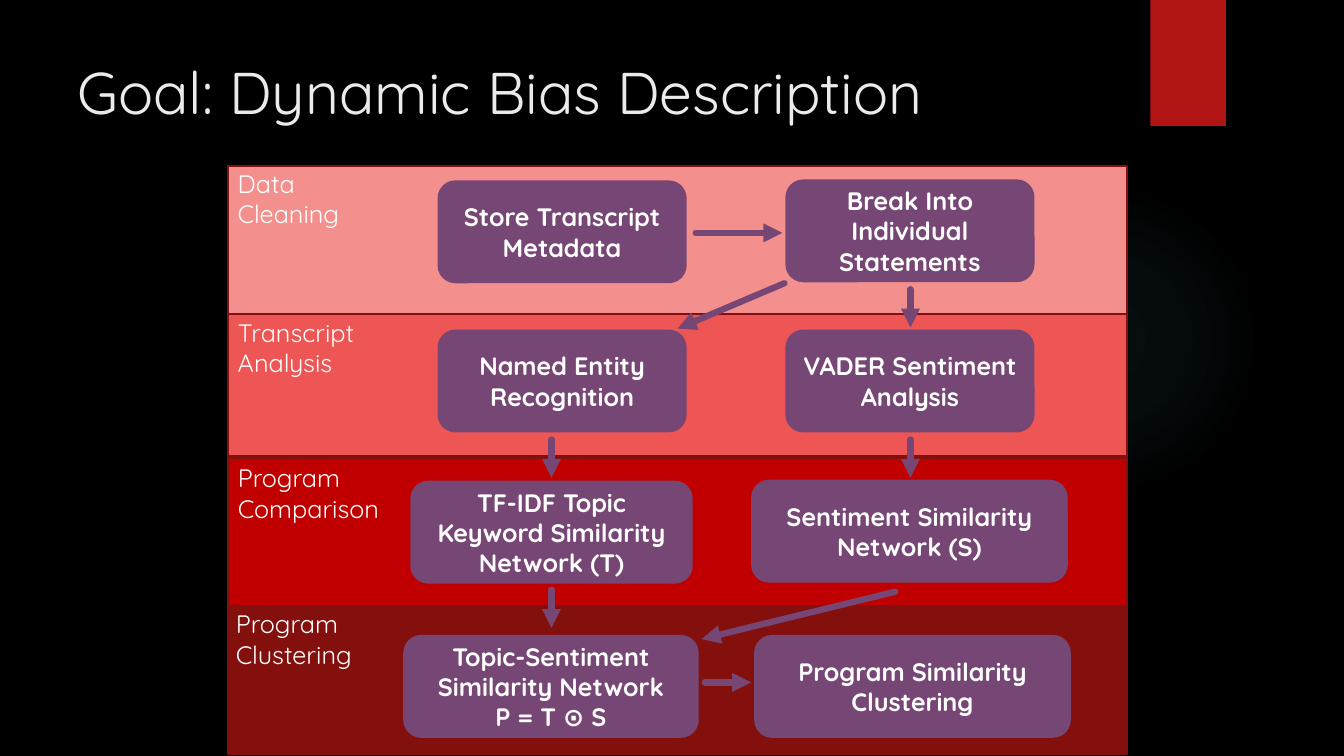
from lxml.etree import SubElement
from pptx import Presentation
from pptx.dml.color import RGBColor
from pptx.enum.shapes import MSO_CONNECTOR, MSO_SHAPE
from pptx.enum.text import MSO_ANCHOR, MSO_AUTO_SIZE, PP_ALIGN
from pptx.oxml import parse_xml
from pptx.oxml.ns import nsdecls, qn
from pptx.util import Inches, Pt

# Content
TITLE = "Goal: Dynamic Bias Description"
FONT = "Quicksand"
WHITE, PURPLE, BAND_EDGE = "FFFFFF", "764674", "82100E"
BAND_LEFT, BAND_WIDTH, BAND_HEIGHT = 2.26, 8.92, 1.47
BOX_HEIGHT = 1

# Stages from back to front: label, colour, band top, label left, top, width
STAGES = [
    ("Transcript Analysis", "ED5654", 3.06, 2.26, 3.1, 1.5),
    ("Program Comparison", "C00000", 4.54, 2.26, 4.54, 1.75),
    ("Program Clustering", "84100E", 6.01, 2.24, 5.99, 1.71),
    ("Data Cleaning", "F38F8D", 1.65, 2.26, 1.62, 1.5),
]

# Steps: paragraphs, left, top, width
STEPS = [
    (["Store Transcript Metadata"], 4.35, 1.8, 2.45),
    (["Break Into Individual Statements"], 7.8, 1.79, 2.45),
    (["Named Entity Recognition"], 4.35, 3.28, 2.45),
    (["VADER Sentiment Analysis"], 7.8, 3.28, 2.45),
    (["TF-IDF Topic Keyword Similarity Network (T)"], 4.08, 4.78, 2.78),
    (["Sentiment Similarity Network (S)"], 7.46, 4.77, 3.12),
    (["Topic-Sentiment Similarity Network", "P = T ⊙ S"], 4.01, 6.31, 2.91),
    (["Program Similarity Clustering"], 7.49, 6.31, 3.12),
]

# Downward arrows share one length: x, top
DROP = 0.38
DROPS = [(9.03, 2.87), (5.47, 4.36), (9.03, 4.36), (5.47, 5.85)]
ARROWS = [
    (6.9, 2.31, 7.76, 2.31),
    (7.78, 2.81, 6.72, 3.26),
    (8.88, 5.87, 6.96, 6.34),
    (6.99, 6.77, 7.45, 6.77),
] + [(x, top, x, top + DROP) for x, top in DROPS]


def color(value):
    return RGBColor.from_string(value)


def write(frame, lines, size, tint, bold=False, align=PP_ALIGN.LEFT,
          anchor=MSO_ANCHOR.TOP):
    settings = {"word_wrap": True, "auto_size": MSO_AUTO_SIZE.NONE,
                "vertical_anchor": anchor}
    for name, value in settings.items():
        setattr(frame, name, value)
    for index, line in enumerate(lines):
        para = frame.add_paragraph() if index else frame.paragraphs[0]
        para.alignment = align
        span = para.add_run()
        span.text = line
        for name, value in {"name": FONT, "size": Pt(size), "bold": bold}.items():
            setattr(span.font, name, value)
        span.font.color.rgb = color(tint)


def add_block(page, kind, place, fill, edge=None):
    block = page.shapes.add_shape(kind, *map(Inches, place))
    block.shadow.inherit = False
    block.fill.solid()
    block.fill.fore_color.rgb = color(fill)
    if edge:
        block.line.color.rgb = color(edge)
        block.line.width = Pt(1.5)
    else:
        block.line.fill.background()
    return block


def add_glow(page):
    glow = add_block(page, MSO_SHAPE.OVAL, (9.41, 1.83, 3.08, 3.08), "50B9C1")
    stops = "".join(
        f'<a:gs pos="{spot * 1000}"><a:srgbClr val="50B9C1">'
        f'<a:alpha val="{alpha * 1000}"/></a:srgbClr></a:gs>'
        for spot, alpha in [(0, 7), (36, 6), (69, 0)])
    gradient = parse_xml(
        f'<a:gradFill {nsdecls("a")}><a:gsLst>{stops}</a:gsLst>'
        '<a:path path="circle"><a:fillToRect l="50000" t="50000" r="50000" '
        'b="50000"/></a:path></a:gradFill>')
    properties = glow.element.spPr
    properties.replace(properties.find(qn("a:solidFill")), gradient)


def add_arrow(page, ends):
    arrow = page.shapes.add_connector(MSO_CONNECTOR.STRAIGHT, *map(Inches, ends))
    arrow.line.color.rgb = color(PURPLE)
    arrow.line.width = Pt(4.5)
    outline = arrow.line._get_or_add_ln()
    outline.set("cap", "rnd")
    SubElement(outline, qn("a:round"))
    SubElement(outline, qn("a:tailEnd"), type="triangle")
    SubElement(arrow.element.spPr, qn("a:effectLst"))


def main():
    deck = Presentation()
    deck.slide_width, deck.slide_height = Inches(13.33), Inches(7.5)
    page = deck.slides.add_slide(deck.slide_layouts[5])
    page.background.fill.solid()
    page.background.fill.fore_color.rgb = color("000000")

    # Backdrop
    add_glow(page)
    add_block(page, MSO_SHAPE.RECTANGLE, (11.41, 0, 0.75, 1.25), "B01513")

    # Title
    title = page.shapes.title
    place = {"left": 0.67, "top": 0.5, "width": 10.29, "height": 1.53}
    for name, value in place.items():
        setattr(title, name, Inches(value))
    write(title.text_frame, [TITLE], 42, "EBEBEB")

    # Stage bands, then their labels
    for label, fill, top, *_ in STAGES:
        add_block(page, MSO_SHAPE.RECTANGLE,
                  (BAND_LEFT, top, BAND_WIDTH, BAND_HEIGHT), fill, BAND_EDGE)
    for label, fill, _, left, top, width in STAGES:
        box = page.shapes.add_textbox(*map(Inches, (left, top, width, 0.71)))
        write(box.text_frame, [label], 18, WHITE)

    # Steps
    for lines, left, top, width in STEPS:
        box = add_block(page, MSO_SHAPE.ROUNDED_RECTANGLE,
                        (left, top, width, BOX_HEIGHT), PURPLE, PURPLE)
        write(box.text_frame, lines, 18, WHITE, True, PP_ALIGN.CENTER,
              MSO_ANCHOR.MIDDLE)

    # Arrows
    for ends in ARROWS:
        add_arrow(page, ends)

    deck.save("out.pptx")


if __name__ == "__main__":
    main()
